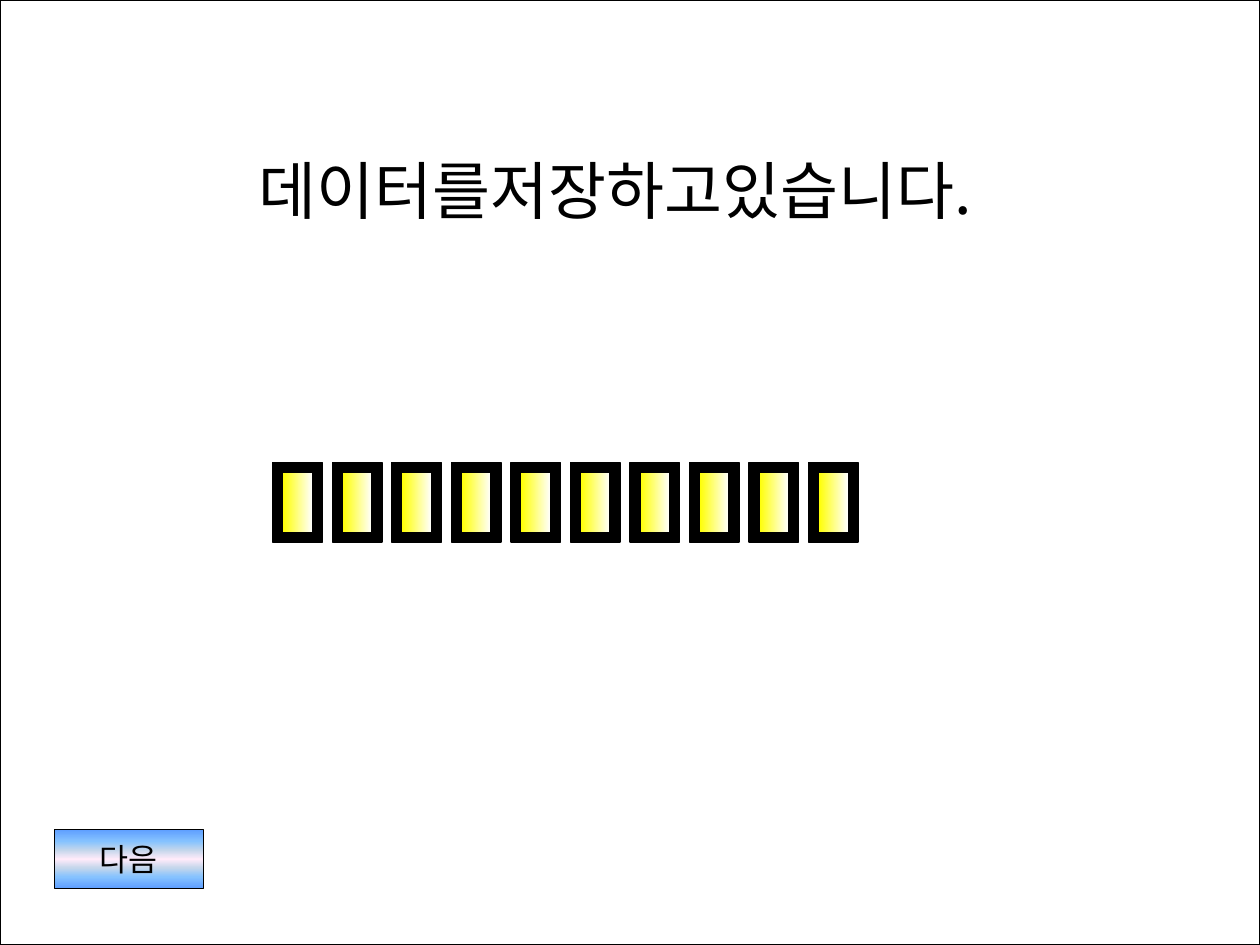
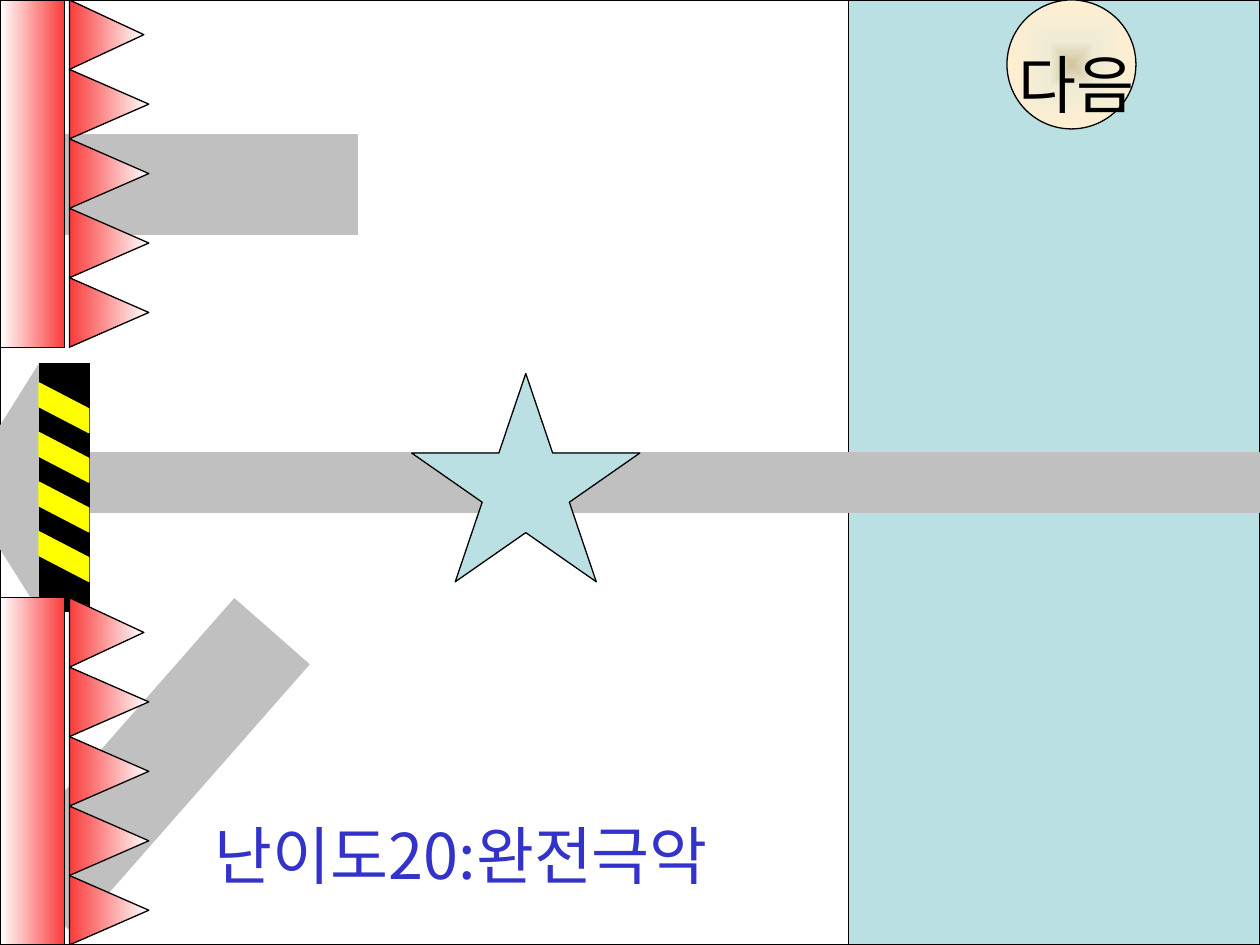
from dataclasses import dataclass

from lxml import etree
from pptx import Presentation
from pptx.dml.color import RGBColor
from pptx.enum.shapes import MSO_SHAPE
from pptx.enum.text import MSO_ANCHOR, MSO_AUTO_SIZE, PP_ALIGN
from pptx.oxml import parse_xml
from pptx.oxml.ns import nsdecls, qn
from pptx.shapes.autoshape import Shape
from pptx.slide import Slide
from pptx.util import Cm, Pt

RECT = MSO_SHAPE.RECTANGLE
OVAL = MSO_SHAPE.OVAL
STAR = MSO_SHAPE.STAR_5_POINT
SPIKE = MSO_SHAPE.ISOSCELES_TRIANGLE
SLANT = MSO_SHAPE.PARALLELOGRAM
CENTER = PP_ALIGN.CENTER
TOP, MIDDLE = MSO_ANCHOR.TOP, MSO_ANCHOR.MIDDLE
FIXED = MSO_AUTO_SIZE.NONE

FONT = "Noto Sans CJK KR"
WIDE, HIGH = 25.4, 19.05
INK = {
    "black": "000000", "white": "FFFFFF", "yellow": "FFFF00",
    "gray": "C0C0C0", "aqua": "BBE0E3", "blue": "3333CC", "red": "FA3C3C",
    "sky": "5E9EFF", "pale": "85C2FF", "mist": "C4D6EB", "pink": "FFEBFA",
    "sand": "D1C39F", "cream": "F0EBD5", "peach": "FFEFD1",
}


@dataclass(frozen=True)
class Box:
    left: float
    top: float
    width: float
    height: float
    turn: float = 0


@dataclass(frozen=True)
class Blend:
    stops: tuple[tuple[int, str], ...]
    angle: int | None = 0


GLOW = Blend(((0, "yellow"), (100, "white")))
BLOOD = Blend(((0, "white"), (100, "red")))
FANG = Blend(BLOOD.stops, 90)
SHEEN = Blend(((0, "sky"), (20, "pale"), (35, "mist"), (50, "pink"),
               (65, "mist"), (80, "pale"), (100, "sky")), 90)
PEARL = Blend(((0, "sand"), (35, "cream"), (100, "peach")), None)


def tint(name: str) -> RGBColor:
    return RGBColor.from_string(INK[name])


def shade(shape: Shape, blend: Blend) -> None:
    stops = "".join(
        f'<a:gs pos="{spot * 1000}"><a:srgbClr val="{INK[name]}"/></a:gs>'
        for spot, name in blend.stops)
    if blend.angle is None:
        flow = ('<a:path path="shape"><a:fillToRect l="50000" t="50000" '
                'r="50000" b="50000"/></a:path>')
    else:
        flow = f'<a:lin ang="{blend.angle * 60000}" scaled="0"/>'
    node = parse_xml(f'<a:gradFill {nsdecls("a")} rotWithShape="1">'
                     f'<a:gsLst>{stops}</a:gsLst>{flow}</a:gradFill>')
    shape.fill.background()
    old = shape.element.spPr.find(qn("a:noFill"))
    shape.element.spPr.replace(old, node)


def paint(shape: Shape, fill: str | Blend, edge: str | None) -> None:
    shape.shadow.inherit = False
    if isinstance(fill, Blend):
        shade(shape, fill)
    else:
        shape.fill.solid()
        shape.fill.fore_color.rgb = tint(fill)
    if edge is None:
        shape.line.fill.background()
    else:
        shape.line.color.rgb = tint(edge)
        shape.line.width = Pt(0.75)


def draw(slide: Slide, box: Box, fill: str | Blend, edge: str = "black",
         kind: MSO_SHAPE = RECT) -> Shape:
    shape = slide.shapes.add_shape(kind, Cm(box.left), Cm(box.top),
                                   Cm(box.width), Cm(box.height))
    shape.rotation = box.turn
    paint(shape, fill, edge)
    return shape


def write(shape: Shape, text: str, size: int, color: str = "black",
          anchor: MSO_ANCHOR = TOP) -> None:
    frame = shape.text_frame
    frame.word_wrap = False
    frame.auto_size = FIXED
    frame.vertical_anchor = anchor
    line = frame.paragraphs[0]
    line.alignment = CENTER
    run = line.add_run()
    run.text = text
    run.font.size = Pt(size)
    run.font.name = FONT
    run.font.color.rgb = tint(color)
    etree.SubElement(run.font._element, qn("a:ea"), typeface=FONT)


def title(slide: Slide, box: Box, text: str, color: str = "black") -> None:
    shape = slide.shapes.title
    shape.left, shape.top = Cm(box.left), Cm(box.top)
    shape.width, shape.height = Cm(box.width), Cm(box.height)
    slide.shapes.element.append(shape.element)
    write(shape, text, 36, color)


def start(deck: Presentation) -> Slide:
    slide = deck.slides.add_slide(deck.slide_layouts[5])
    draw(slide, Box(0, 0, WIDE, HIGH), "white")
    return slide


def jaw(slide: Slide, top: float) -> None:
    count, pitch = 5, 1.4
    draw(slide, Box(0, top, 1.3, count * pitch), BLOOD)
    for i in range(count):
        reach = 1.5 if i == 0 else 1.6
        mid = top + pitch * (i + 0.5)
        left = 1.4 + (reach - pitch) / 2
        draw(slide, Box(left, mid - reach / 2, pitch, reach, 90), FANG,
             kind=SPIKE)


def gate(slide: Slide) -> None:
    path = slide.shapes.build_freeform(Cm(0.79), Cm(7.32), scale=1.0)
    path.add_line_segments([(Cm(0), Cm(8.58)), (Cm(0), Cm(11.07)),
                            (Cm(0.79), Cm(12.32))])
    paint(path.convert_to_shape(), "gray", None)
    draw(slide, Box(-1.2, 9.32, 5, 1, 270), "black")
    for i in range(4):
        stripe = draw(slide, Box(0.79, 7.72 + i, 1, 1, 270), "yellow",
                      "yellow", SLANT)
        stripe.adjustments[0] = 0.52


def saving(deck: Presentation) -> None:
    slide = start(deck)
    title(slide, Box(4.4, 2.93, 16, 1.8), "데이터를저장하고있습니다.")
    for i in range(10):
        left = 5.5 + 1.2 * i
        draw(slide, Box(left, 9.33, 1, 1.6), "black")
        draw(slide, Box(left + 0.2, 9.53, 0.6, 1.2), GLOW)
    button = draw(slide, Box(1.1, 16.72, 3, 1.2), SHEEN)
    write(button, "다음", 18, anchor=MIDDLE)


def level(deck: Presentation) -> None:
    slide = start(deck)
    draw(slide, Box(17.1, 0, 8.3, HIGH), "aqua")
    draw(slide, Box(12.1, -2.98, 1.2, WIDE, 270), "gray", "gray")
    gate(slide)
    for arm in (Box(2.1, 11.84, 2, 7.2, 41.3), Box(2.6, 0.12, 2, 7.2, 90)):
        draw(slide, arm, "gray", "gray")
    title(slide, Box(3.3, 16.33, 12, 1.8), "난이도20:완전극악", "blue")
    for top in (0, 12.05):
        jaw(slide, top)
    draw(slide, Box(8.3, 7.53, 4.6, 4.2), "aqua", kind=STAR)
    draw(slide, Box(20.3, 0, 2.6, 2.6), PEARL, kind=OVAL)
    label = slide.shapes.add_textbox(Cm(20.9), Cm(0.8), Cm(1.6), Cm(1.05))
    write(label, "다음", 36)


def main() -> None:
    deck = Presentation()
    deck.slide_width, deck.slide_height = Cm(WIDE), Cm(HIGH)
    saving(deck)
    level(deck)
    deck.save("out.pptx")


main()
